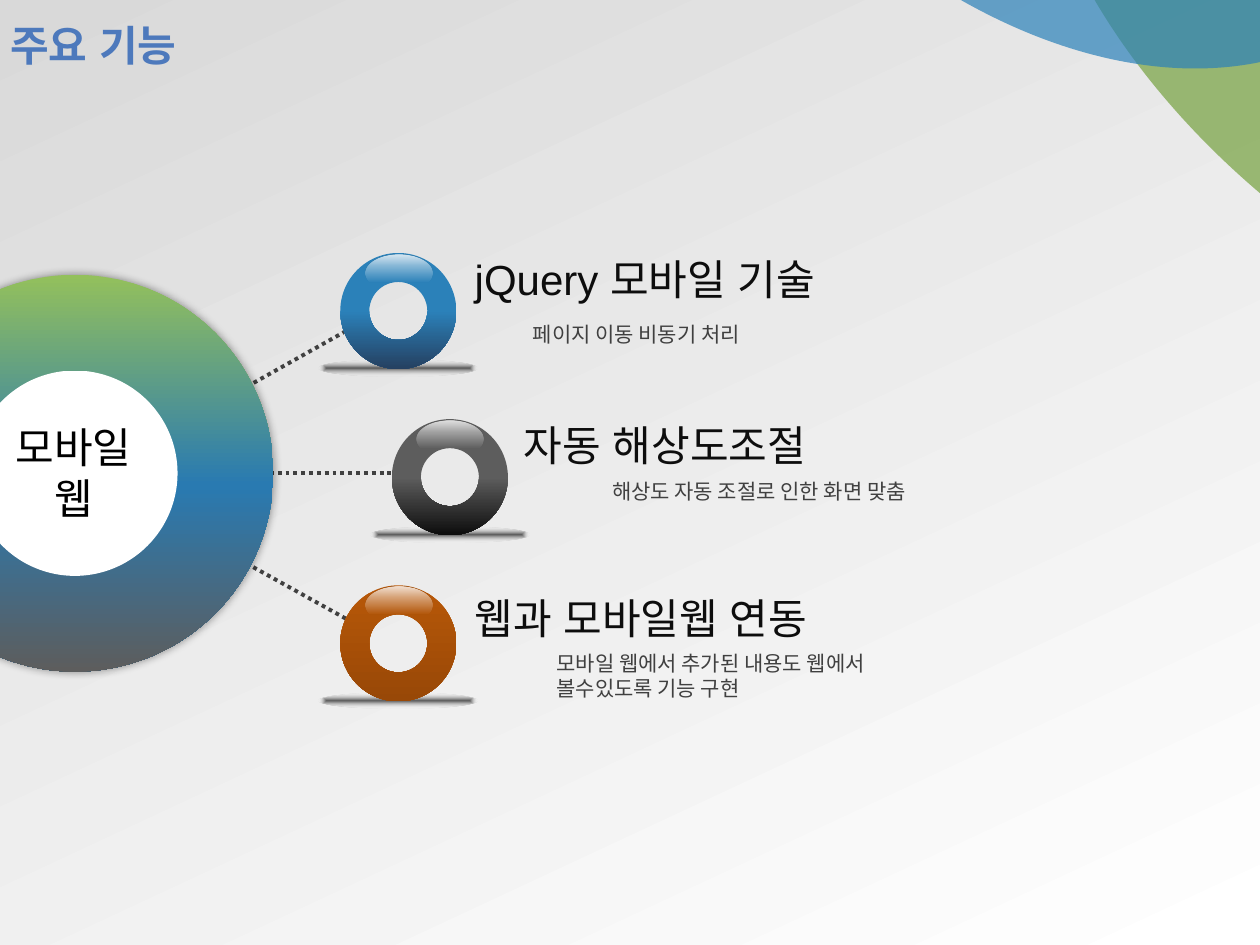
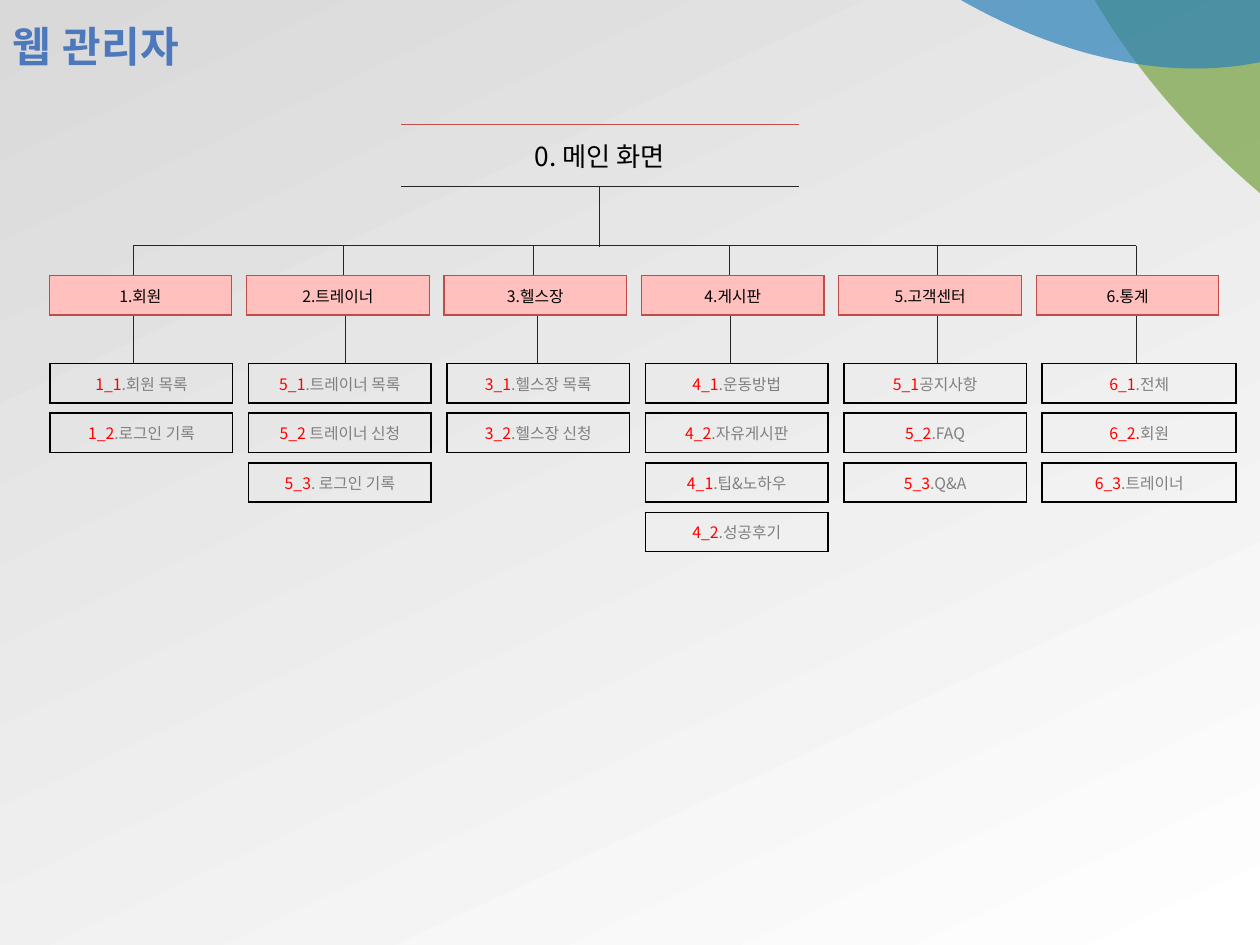
import pptx
import pptx.util
import pptx.dml.color
import pptx.enum.dml
import pptx.enum.shapes
import pptx.enum.text
import pptx.oxml.ns
from lxml import etree

Cm = pptx.util.Cm
Pt = pptx.util.Pt
RGB = pptx.dml.color.RGBColor.from_string
qn = pptx.oxml.ns.qn
KIND = pptx.enum.shapes.MSO_SHAPE
ALIGN = pptx.enum.text.PP_ALIGN
MIDDLE = pptx.enum.text.MSO_ANCHOR.MIDDLE
DASH = pptx.enum.dml.MSO_LINE

HUES = {
    "green": "75A13F", "blue": "2B81B9", "navy": "254061", "gray": "5D5D5D",
    "rust": "B85808", "brown": "984807", "ink": "0D0D0D", "dark": "404040",
    "black": "000000", "white": "FFFFFF", "mist": "D9D9D9", "shade": "595959",
    "lime": "93C05C", "sea": "297AB1", "wire": "262626", "red": "FF0000",
    "mute": "808080", "pink": "FFC0BE", "rose": "BF4C48", "brick": "C0504D",
    "sky": "7494C9", "azure": "4D79BC", "cobalt": "346AAA", "steel": "325F94",
    "deep": "315D91",
}
SANS = "Arial"
KOR = "Noto Sans CJK KR"


def blend(fill, node, stops, angle=None):
    fill.gradient()
    grad = node.find(".//" + qn("a:gradFill"))
    for child in list(grad):
        grad.remove(child)
    row = etree.SubElement(grad, qn("a:gsLst"))
    for pos, hue, alpha in stops:
        stop = etree.SubElement(row, qn("a:gs"), pos=str(pos * 1000))
        tint = etree.SubElement(stop, qn("a:srgbClr"), val=HUES[hue])
        if alpha < 100:
            etree.SubElement(tint, qn("a:alpha"), val=str(alpha * 1000))
    if angle is None:
        way = etree.SubElement(grad, qn("a:path"), path="shape")
        etree.SubElement(way, qn("a:fillToRect"), {side: "50000" for side in "ltrb"})
    else:
        etree.SubElement(grad, qn("a:lin"), ang=str(angle * 60000), scaled="0")


def write(para, parts, size, face):
    for text, hue in parts:
        run = para.add_run()
        run.text = text
        run.font.size = Pt(size)
        run.font.name = face
        run.font.color.rgb = RGB(HUES[hue])
        etree.SubElement(run._r.get_or_add_rPr(), qn("a:ea"), typeface=face)


deck = pptx.Presentation()
deck.slide_width = Cm(25.4)
deck.slide_height = Cm(19.05)
plan = deck.slide_layouts[5]
ground = deck.slide_master.background
blend(ground.fill, deck.slide_master.element, [(0, "mist", 100), (100, "white", 100)], 65)

pages = []
for name, left, top in [("주요 기능", -0.05, 0), ("웹 관리자", 0, 0.03)]:
    page = deck.slides.add_slide(plan)
    title = page.shapes.title
    title.left, title.top, title.width, title.height = Cm(left), Cm(top), Cm(23.6), Cm(1.8)
    title.text_frame.vertical_anchor = MIDDLE
    para = title.text_frame.paragraphs[0]
    para.alignment = ALIGN.LEFT
    write(para, [(name, "azure")], 24, SANS)
    font = para.runs[0].font
    font.bold = True
    blend(font.fill, title.element, [(0, "sky", 100), (49, "azure", 100), (50, "cobalt", 100),
                                     (92, "steel", 100), (100, "deep", 100)], 90)
    pages.append(page)
main, admin = pages

for left, top, wide, high, turn, hue in [
    (19.48, -6.71, 21.16, 12.57, 36.6, "green"),
    (13.41, -19.43, 14.88, 22, 142.1, "blue"),
]:
    petal = main.shapes.add_shape(KIND.OVAL, Cm(left), Cm(top), Cm(wide), Cm(high))
    petal.rotation = turn
    petal.shadow.inherit = False
    petal.line.fill.background()
    petal.fill.solid()
    petal.fill.fore_color.rgb = RGB(HUES[hue])
    tint = petal.element.spPr.find(qn("a:solidFill"))[0]
    etree.SubElement(tint, qn("a:alpha"), val="70000")
    plan.shapes.element.append(petal.element)

wires = [
    (main, 4.7, 7.95, 7.14, 6.58),
    (main, 5.44, 9.53, 8.46, 9.53),
    (main, 4.83, 11.28, 7.24, 12.62),
    (admin, 12.07, 3.76, 12.07, 4.97),
    (admin, 22.91, 4.95, 2.69, 4.95),
]
drops = [2.69, 6.91, 10.74, 14.71, 18.9, 22.9]
stems = [2.69, 6.96, 10.82, 14.73, 18.9, 22.91]
wires += [(admin, x, 4.95, x, 5.56) for x in drops]
wires += [(admin, x, 6.34, x, 7.33) for x in stems]
for page, x, y, far, low in wires:
    wire = page.shapes.add_connector(
        pptx.enum.shapes.MSO_CONNECTOR.STRAIGHT, Cm(x), Cm(y), Cm(far), Cm(low))
    dots = page is main
    wire.line.color.rgb = RGB(HUES["dark" if dots else "wire"])
    wire.line.width = Pt(2.25 if dots else 0.25)
    if dots:
        wire.line.dash_style = DASH.ROUND_DOT
    etree.SubElement(wire.element.spPr, qn("a:effectLst"))

gloss = [(0, "white", 82), (30, "white", 44), (75, "white", 0)]
floor = [(0, "shade", 100), (100, "white", 0)]
groups = []
for x, y, stops in [
    (6.86, 5.1, [(0, "blue", 100), (50, "blue", 100), (100, "navy", 100)]),
    (6.86, 11.8, [(0, "rust", 100), (100, "brown", 100)]),
    (7.9, 8.45, [(0, "gray", 100), (50, "gray", 100), (100, "ink", 100)]),
]:
    groups.append([
        (KIND.OVAL, x - 0.43, y + 2.16, 3.2, 0.33, floor, None),
        (KIND.DONUT, x, y, 2.34, 2.34, stops, 90),
        (KIND.OVAL, x + 0.5, y + 0.03, 1.35, 0.74, gloss, 90),
    ])
groups.append([
    (KIND.DONUT, -2.49, 5.54, 8, 8,
     [(0, "lime", 100), (53, "sea", 100), (100, "gray", 100)], 90),
    (KIND.OVAL, -0.56, 7.47, 4.14, 4.14, [(0, "white", 100), (100, "white", 100)], 90),
])
for group in groups:
    pack = main.shapes.add_group_shape()
    for kind, x, y, wide, high, stops, angle in group:
        orb = pack.shapes.add_shape(kind, Cm(x), Cm(y), Cm(wide), Cm(high))
        orb.shadow.inherit = False
        orb.line.fill.background()
        blend(orb.fill, orb.element, stops, angle)
        if wide == 8:
            glow = etree.SubElement(orb.element.spPr.find(qn("a:effectLst")),
                                    qn("a:outerShdw"), blurRad="63500", dist="0", dir="0")
            tint = etree.SubElement(glow, qn("a:srgbClr"), val=HUES["black"])
            etree.SubElement(tint, qn("a:alpha"), val="40000")

for x, y, wide, high, size, hue, lines in [
    (-0.05, 8.38, 3.07, 2.31, 24, "black", ["모바일", "웹"]),
    (9.32, 4.98, 7.98, 1.27, 24, "ink", ["jQuery 모바일 기술"]),
    (10.31, 8.33, 7.2, 1.27, 24, "ink", ["자동 해상도조절"]),
    (9.32, 11.81, 8.26, 1.27, 24, "ink", ["웹과 모바일웹 연동"]),
    (10.49, 6.35, 5.23, 0.76, 12, "dark", ["페이지 이동 비동기 처리"]),
    (12.09, 9.53, 7.26, 0.76, 12, "dark", ["해상도 자동 조절로 인한 화면 맞춤"]),
    (10.97, 12.98, 7.67, 1.27, 12, "dark",
     ["모바일 웹에서 추가된 내용도 웹에서", "볼수있도록 기능 구현"]),
]:
    frame = main.shapes.add_textbox(Cm(x), Cm(y), Cm(wide), Cm(high)).text_frame
    frame.word_wrap = True
    for rank, line in enumerate(lines):
        para = frame.add_paragraph() if rank else frame.paragraphs[0]
        para.alignment = ALIGN.CENTER if hue == "black" else ALIGN.LEFT
        if size == 12:
            para.line_spacing = Pt(14.4)
        write(para, [(line, hue)], size, SANS if size == 24 else KOR)

menu = [
    ("1.회원", [("1_1", ".회원 목록"), ("1_2", ".로그인 기록")]),
    ("2.트레이너", [("5_1", ".트레이너 목록"), ("5_2 ", "트레이너 신청"),
                ("5_3", ". 로그인 기록")]),
    ("3.헬스장", [("3_1", ".헬스장 목록"), ("3_2", ".헬스장 신청")]),
    ("4.게시판", [("4_1", ".운동방법"), ("4_2", ".자유게시판"),
               ("4_1", ".팁&노하우"), ("4_2", ".성공후기")]),
    ("5.고객센터", [("5_1", "공지사항"), ("5_2", ".FAQ"), ("5_3", ".Q&A")]),
    ("6.통계", [("6_1", ".전체"), ("6_2.", "회원"), ("6_3", ".트레이너")]),
]
thin = {side: ("rose", 0.75) for side in "LRTB"}
bold = {side: ("black", 1) for side in "LRTB"}
rules = {"T": ("brick", 1), "B": ("wire", 0.5)}
boxes = [(8.08, 2.51, 8.03, 1.25, [("0. 메인 화면", "black")], 15, rules, None)]
for col, (head, leaves) in enumerate(menu):
    boxes.append((0.99 + 3.98 * col, 5.56, 3.68, 0.79, [(head, "black")], 9, thin, "pink"))
    for row, (code, label) in enumerate(leaves):
        boxes.append((1.01 + 4 * col, 7.33 + row, 3.91 if col == 5 else 3.68, 0.79,
                      [(code, "red"), (label, "mute")], 9, bold, None))

for x, y, wide, high, parts, size, edges, hue in boxes:
    table = admin.shapes.add_table(1, 1, Cm(x), Cm(y), Cm(wide), Cm(high)).table
    table.first_row = False
    table.horz_banding = False
    cell = table.cell(0, 0)
    cell.vertical_anchor = MIDDLE
    cell.margin_left = cell.margin_right = Cm(0.48 if size == 15 else 0.3)
    cell.margin_top = cell.margin_bottom = Cm(0.23 if size == 15 else 0.15)
    props = cell._tc.get_or_add_tcPr()
    for side in "LRTB":
        edge = etree.SubElement(props, qn("a:ln" + side))
        if side in edges:
            tone, weight = edges[side]
            edge.set("w", str(Pt(weight)))
            paint = etree.SubElement(edge, qn("a:solidFill"))
            etree.SubElement(paint, qn("a:srgbClr"), val=HUES[tone])
        else:
            etree.SubElement(edge, qn("a:noFill"))
    if hue:
        cell.fill.solid()
        cell.fill.fore_color.rgb = RGB(HUES[hue])
    else:
        cell.fill.background()
    para = cell.text_frame.paragraphs[0]
    para.alignment = ALIGN.CENTER
    write(para, parts, size, KOR)

deck.save("out.pptx")
